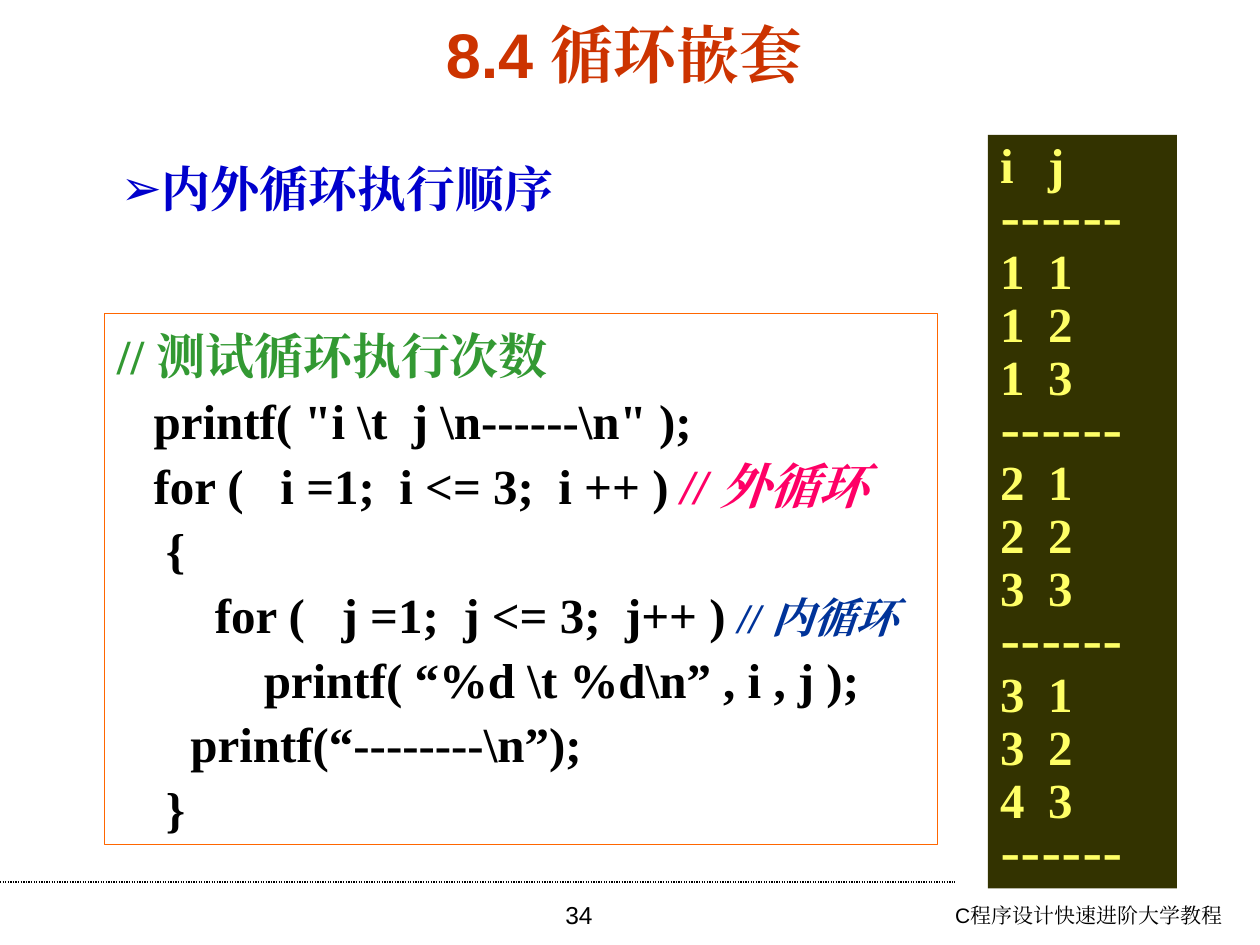
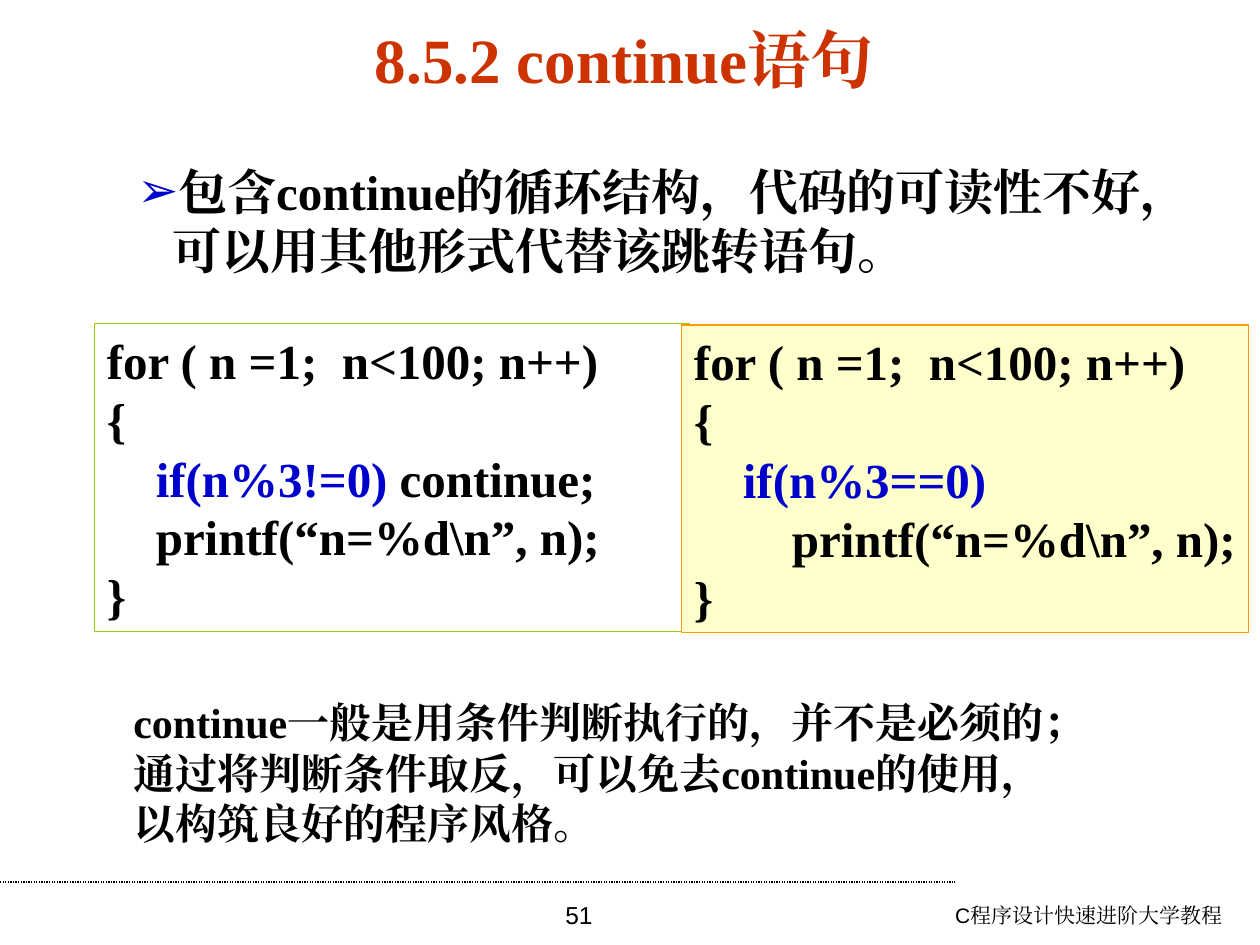
from dataclasses import dataclass
from typing import Optional

from lxml.etree import SubElement
from pptx import Presentation
from pptx.dml.color import RGBColor
from pptx.enum.dml import MSO_LINE
from pptx.enum.shapes import MSO_CONNECTOR, MSO_SHAPE
from pptx.enum.text import MSO_ANCHOR, MSO_AUTO_SIZE, PP_ALIGN
from pptx.oxml.ns import qn
from pptx.util import Inches, Pt


@dataclass(frozen=True)
class Theme:
    title: str = "CC3300"
    ink: str = "000000"
    blue: str = "0000CC"
    comment: str = "339933"
    outer: str = "FF0066"
    inner: str = "003399"
    white: str = "FFFFFF"
    orange: str = "FF6600"
    amber: str = "FF9900"
    lime: str = "99CC00"
    cream: str = "FFFFCC"
    console: str = "333300"
    console_text: str = "FFFF66"
    serif: str = "Times New Roman"
    sans: str = "Arial"
    chinese: str = "Noto Sans CJK SC"
    dashes: str = "Cabin"
    title_size: int = 36
    text_size: int = 28
    note_size: int = 24
    number_size: int = 14
    footer_size: int = 12
    line_width: float = 0.75


THEME = Theme()
WIDTH, HEIGHT = Inches(10), Inches(7.5)
COLUMNS, ROWS = 100, 75


@dataclass(frozen=True)
class Area:
    """Left, top, width and height in grid columns and rows."""
    left: float
    top: float
    width: float
    height: float


@dataclass(frozen=True)
class Span:
    text: str
    color: str = THEME.ink
    size: int = THEME.text_size
    font: str = THEME.serif
    bold: bool = True
    italic: bool = False


@dataclass(frozen=True)
class Para:
    spans: tuple
    bullet: bool = False
    margin: float = 0
    hanging: float = 0


@dataclass(frozen=True)
class TextStyle:
    anchor: MSO_ANCHOR = MSO_ANCHOR.TOP
    align: PP_ALIGN = PP_ALIGN.LEFT
    spacing: float = 1.0
    wrap: bool = True
    right_inset: float = 0.1


@dataclass(frozen=True)
class Panel:
    area: Area
    paras: list
    style: TextStyle
    fill: Optional[str] = None
    line: Optional[str] = None


def column(count: float) -> int:
    return round(WIDTH * count / COLUMNS)


def row(count: float) -> int:
    return round(HEIGHT * count / ROWS)


def frame(area: Area) -> tuple:
    return column(area.left), row(area.top), column(area.width), row(area.height)


def apply(target, values: dict) -> None:
    for name, value in values.items():
        setattr(target, name, value)


def lines(*texts, **look) -> list:
    """One paragraph per entry; an entry is a text or a tuple of spans."""
    return [Para(text if isinstance(text, tuple) else (Span(text, **look),))
            for text in texts]


def format_para(para, content: Para, style: TextStyle) -> None:
    apply(para, {"alignment": style.align, "line_spacing": style.spacing,
                 "space_before": Pt(0), "space_after": Pt(0)})
    props = para._p.get_or_add_pPr()
    props.set("marL", str(Inches(content.margin)))
    props.set("indent", str(-Inches(content.hanging)))
    if content.bullet:
        color = SubElement(props, qn("a:buClr"))
        SubElement(color, qn("a:srgbClr"), val=THEME.blue)
        SubElement(props, qn("a:buChar"), char="➢")
    else:
        SubElement(props, qn("a:buNone"))


def add_span(para, span: Span) -> None:
    run = para.add_run()
    run.text = span.text
    apply(run.font, {"name": span.font, "size": Pt(span.size),
                     "bold": span.bold, "italic": span.italic})
    run.font.color.rgb = RGBColor.from_string(span.color)
    latin = run._r.rPr.find(qn("a:latin"))
    east_asian = SubElement(run._r.rPr, qn("a:ea"), typeface=THEME.serif)
    latin.addnext(east_asian)


def write(box, paras: list, style: TextStyle) -> None:
    text = box.text_frame
    apply(text, {"word_wrap": style.wrap, "auto_size": MSO_AUTO_SIZE.NONE,
                 "vertical_anchor": style.anchor,
                 "margin_left": Inches(0.1), "margin_top": Inches(0.05),
                 "margin_right": Inches(style.right_inset),
                 "margin_bottom": Inches(0.05)})
    for index, content in enumerate(paras):
        para = text.paragraphs[0] if index == 0 else text.add_paragraph()
        format_para(para, content, style)
        for span in content.spans:
            add_span(para, span)


def place(box, area: Area) -> None:
    apply(box, dict(zip(("left", "top", "width", "height"), frame(area))))


def add_text(page, area: Area, paras: list, style: TextStyle) -> None:
    write(page.shapes.add_textbox(*frame(area)), paras, style)


def add_panel(page, panel: Panel) -> None:
    box = page.shapes.add_shape(MSO_SHAPE.RECTANGLE, *frame(panel.area))
    box.shadow.inherit = False
    if panel.fill:
        box.fill.solid()
        box.fill.fore_color.rgb = RGBColor.from_string(panel.fill)
    else:
        box.fill.background()
    if panel.line:
        box.line.color.rgb = RGBColor.from_string(panel.line)
        box.line.width = Pt(THEME.line_width)
    else:
        box.line.fill.background()
    write(box, panel.paras, panel.style)


def add_footer(page, number: int) -> None:
    rule = page.shapes.add_connector(
        MSO_CONNECTOR.STRAIGHT, 0, row(70), column(75.8), row(70))
    SubElement(rule._element.spPr, qn("a:effectLst"))
    rule.line.color.rgb = RGBColor.from_string(THEME.ink)
    apply(rule.line, {"width": Pt(THEME.line_width),
                      "dash_style": MSO_LINE.ROUND_DOT})
    add_text(page, Area(65.7, 71.1, 32.3, 3.9),
             lines("C程序设计快速进阶大学教程", size=THEME.footer_size,
                   font=THEME.sans, bold=False),
             TextStyle(align=PP_ALIGN.RIGHT))
    add_text(page, Area(34.3, 70.9, 23.3, 4.1),
             lines(str(number), size=THEME.number_size,
                   font=THEME.sans, bold=False),
             TextStyle(align=PP_ALIGN.CENTER))


def add_page(deck, title: str, title_font: str, title_spacing: float,
             number: int, body_area: Area, body: list, body_style: TextStyle):
    page = deck.slides.add_slide(deck.slide_layouts[1])
    place(page.shapes.title, Area(4.3, 2.1, 90.5, 5))
    write(page.shapes.title,
          lines(title, color=THEME.title, size=THEME.title_size, font=title_font),
          TextStyle(MSO_ANCHOR.MIDDLE, PP_ALIGN.CENTER, title_spacing))
    place(page.placeholders[1], body_area)
    write(page.placeholders[1], body, body_style)
    add_footer(page, number)
    return page


def console_rows() -> list:
    """Header and three groups of output, each closed by a dashed rule."""
    groups = (("i\tj",), ("1\t1", "1\t2", "1\t3"),
              ("2\t1", "2\t2", "3\t3"), ("3\t1", "3\t2", "4\t3"))
    rows = []
    for group in groups:
        cells = [(text, THEME.serif) for text in group]
        for text, font in cells + [("------", THEME.dashes)]:
            span = Span(text, THEME.console_text, font=font)
            rows.append(Para((span,), margin=0.38, hanging=0.38))
    return rows


def nested_loops(deck) -> None:
    heading = Span("内外循环执行顺序", THEME.blue, font=THEME.chinese)
    page = add_page(deck, "8.4 循环嵌套", THEME.sans, 0.9, 34,
                    Area(8.6, 10.7, 91.4, 13.2),
                    [Para((heading,), True, 0.23, 0.23)], TextStyle(spacing=1.3))
    code = lines(
        (Span("// 测试循环执行次数", THEME.comment),),
        '   printf( "i \\t  j \\n------\\n" );',
        (Span("   for (   i =1;  i <= 3;  i ++ ) "),
         Span("// 外循环", THEME.outer, italic=True)),
        "    {",
        (Span("        for (   j =1;  j <= 3;  j++ ) "),
         Span("// 内循环", THEME.inner, THEME.note_size, italic=True)),
        "            printf( “%d \\t %d\\n” , i , j );",
        "      printf(“--------\\n”);",
        "    }")
    add_panel(page, Panel(Area(8.3, 24.9, 66.1, 42.1), code,
                          TextStyle(spacing=1.1), THEME.white, THEME.orange))
    add_panel(page, Panel(Area(78.4, 10.7, 15, 59.8), console_rows(),
                          TextStyle(spacing=0.9), THEME.console))


def continue_statement(deck) -> None:
    middle = TextStyle(MSO_ANCHOR.MIDDLE)
    body = [Para((Span("包含continue的循环结构，代码的可读性不好，"),),
                 True, 0.23, 0.23),
            Para((Span("可以用其他形式代替该跳转语句。"),), margin=0.28)]
    page = add_page(deck, "8.5.2 continue语句", THEME.serif, 1.0, 51,
                    Area(9.9, 12.3, 87.2, 10.4), body,
                    TextStyle(MSO_ANCHOR.MIDDLE, right_inset=0.65))
    # Two equivalent loops side by side
    opening, closing = ("for ( n =1;  n<100; n++)", "{"), "}"
    with_continue = lines(
        *opening,
        (Span("    "), Span("if(n%3!=0)", THEME.blue), Span(" continue;")),
        "    printf(“n=%d\\n”, n);", closing)
    without_continue = lines(
        *opening, (Span("    if(n%3==0)", THEME.blue),),
        "        printf(“n=%d\\n”, n);", closing)
    add_panel(page, Panel(Area(7.5, 25.7, 47.2, 24.4), with_continue,
                          middle, line=THEME.lime))
    add_panel(page, Panel(Area(54.1, 25.8, 45, 24.4), without_continue,
                          TextStyle(MSO_ANCHOR.MIDDLE, wrap=False),
                          THEME.cream, THEME.amber))
    # Closing remark
    add_text(page, Area(9.6, 54.8, 78.3, 13),
             lines("continue一般是用条件判断执行的，并不是必须的；",
                   "通过将判断条件取反，可以免去continue的使用，",
                   "以构筑良好的程序风格。", size=THEME.note_size), middle)


def main() -> None:
    deck = Presentation()
    apply(deck, {"slide_width": WIDTH, "slide_height": HEIGHT})
    nested_loops(deck)
    continue_statement(deck)
    deck.save("out.pptx")


if __name__ == "__main__":
    main()
